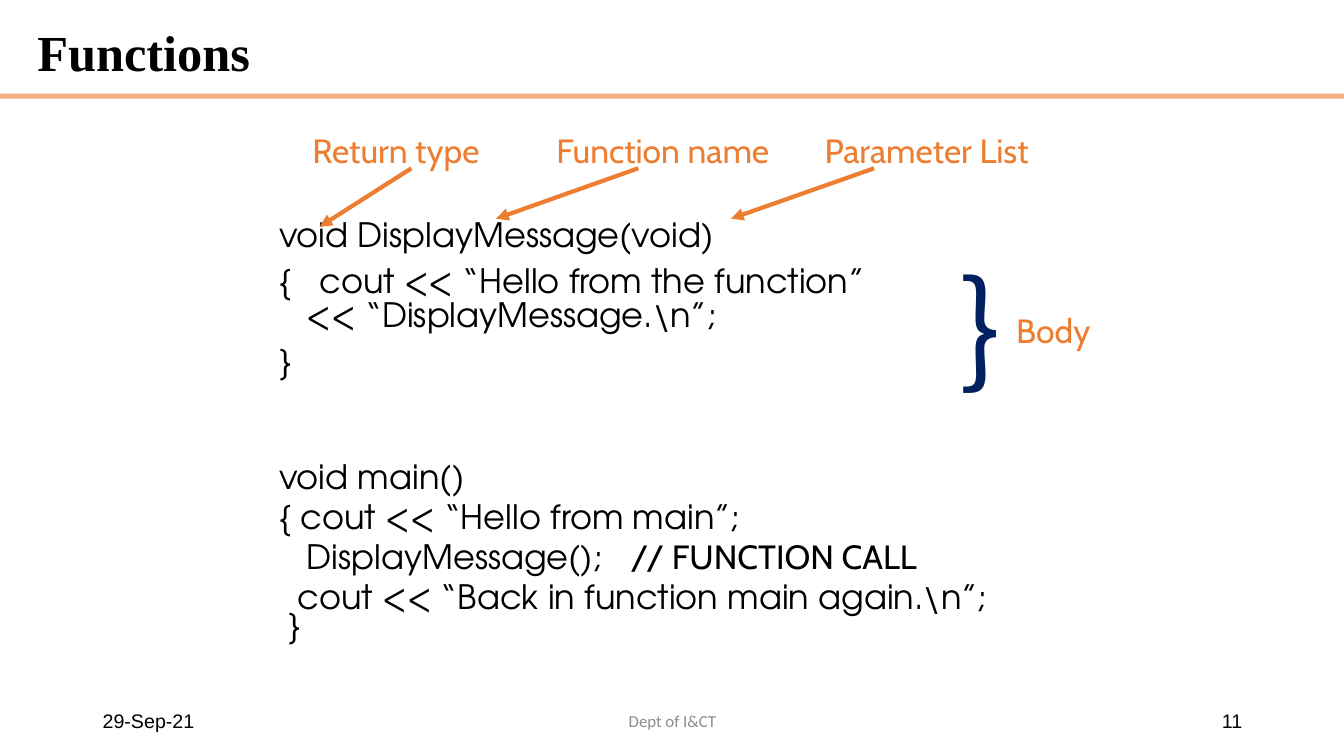
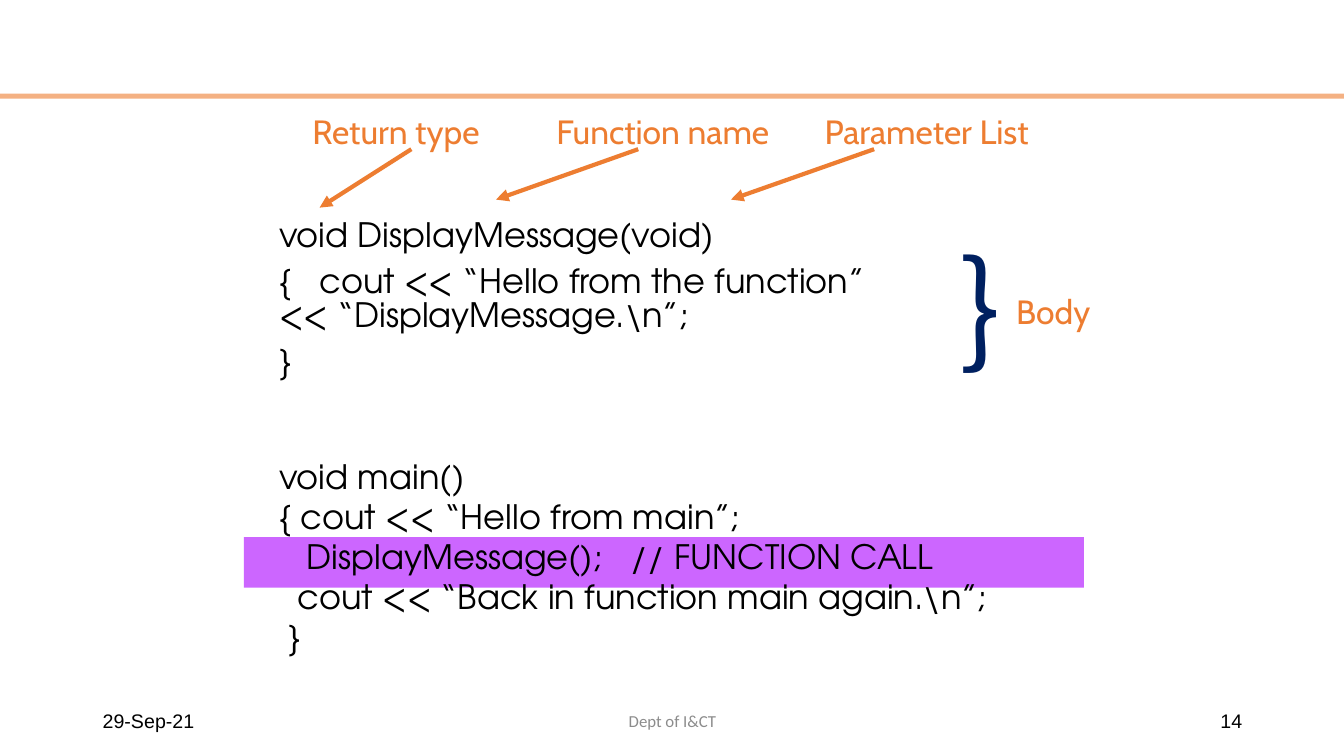
import pptx
import pptx.util
import pptx.dml.color
import pptx.enum.shapes
import pptx.enum.text
import pptx.oxml
import pptx.oxml.ns

Inches = pptx.util.Inches
Anchor = pptx.enum.text.MSO_ANCHOR
Align = pptx.enum.text.PP_ALIGN
Fit = pptx.enum.text.MSO_AUTO_SIZE


def paint(code):
    return pptx.dml.color.RGBColor.from_string(code)


def node(tag, attrs=""):
    space = pptx.oxml.ns.nsdecls("a")
    return pptx.oxml.parse_xml(f"<a:{tag} {space} {attrs}/>")


class Deck:
    ink = "000000"
    accent = "ED7D31"
    band = "F4B183"
    navy = "002060"
    glow = "CC66FF"
    grey = "8C8C8C"
    code_face = "TeX Gyre Adventor"
    note_face = "Cabin"
    title_face = "Times New Roman"

    def __init__(self):
        self.show = pptx.Presentation()
        self.show.slide_width = Inches(13.33)
        self.show.slide_height = Inches(7.5)
        self.slide = None

    def start(self, number, title=None):
        layout = self.show.slide_layouts[5 if title else 6]
        self.slide = self.show.slides.add_slide(layout)
        self.block(0, 0.93, 13.33, 0.05, self.band)
        if title:
            self.title(title)
        self.footer("29-Sep-21", 0.92, 3, Align.LEFT)
        self.footer("Dept of I&CT", 4.42, 4.5, Align.CENTER, "Calibri", 12, self.grey)
        self.footer(str(number), 9.42, 3, Align.RIGHT)

    def style(self, font, face, size, color, bold=False):
        font.name = face
        font.size = pptx.util.Pt(size)
        font.bold = bold
        font.color.rgb = paint(color)

    def block(self, left, top, width, height, color):
        kind = pptx.enum.shapes.MSO_SHAPE.RECTANGLE
        box = self.slide.shapes.add_shape(
            kind, Inches(left), Inches(top), Inches(width), Inches(height))
        box.shadow.inherit = False
        box.fill.solid()
        box.fill.fore_color.rgb = paint(color)
        box.line.fill.background()

    def title(self, words):
        box = self.slide.shapes.title
        box.left, box.top = Inches(0.27), Inches(0.15)
        box.width, box.height = Inches(12.15), Inches(0.79)
        frame = box.text_frame
        frame.text = words
        frame.auto_size = Fit.NONE
        frame.vertical_anchor = Anchor.MIDDLE
        line = frame.paragraphs[0]
        line.alignment = Align.LEFT
        line.line_spacing = 0.9
        self.style(line.runs[0].font, self.title_face, 36, self.ink, True)

    def text(self, words, left, top, width, height, face, size, color):
        box = self.slide.shapes.add_textbox(
            Inches(left), Inches(top), Inches(width), Inches(height))
        frame = box.text_frame
        frame.word_wrap = True
        frame.auto_size = Fit.SHAPE_TO_FIT_TEXT
        frame.text = words
        for line in frame.paragraphs:
            for run in line.runs:
                self.style(run.font, face, size, color)
        return frame

    def footer(self, words, left, width, side, face="Arial", size=14, color=ink):
        frame = self.text(words, left, 6.95, width, 0.4, face, size, color)
        frame.auto_size = Fit.NONE
        frame.vertical_anchor = Anchor.MIDDLE
        frame.paragraphs[0].alignment = side

    def label(self, words, left, top, width):
        self.text(words, left, top, width, 0.51, self.note_face, 24, self.accent)

    def code(self, words, top, height, gaps):
        frame = self.text(words, 2.67, top, 9, height, self.code_face, 24, self.ink)
        for spot, line in enumerate(frame.paragraphs):
            line.line_spacing = gaps[min(spot, len(gaps) - 1)]
            line.space_before = pptx.util.Pt(8.4 if spot else 0)
        return frame

    def arrow(self, start, end):
        kind = pptx.enum.shapes.MSO_CONNECTOR.STRAIGHT
        line = self.slide.shapes.add_connector(
            kind, *(Inches(value) for value in start + end))
        line.line.color.rgb = paint(self.accent)
        line.line.width = pptx.util.Pt(3)
        line.get_or_add_ln().append(node("tailEnd", 'type="triangle"'))
        line.element.spPr.append(node("effectLst"))

    def notes(self, top):
        for words, left, stem, tip, drop in (
            ("Return type", 3, 4.08, 3.17, 0.58),
            ("Function name", 5.42, 6.33, 4.92, 0.5),
            ("Parameter List", 8.08, 8.67, 7.25, 0.5),
        ):
            self.label(words, left, top, 2.75)
            self.arrow((stem, top + 0.43), (tip, top + 0.43 + drop))
        self.text("}", 9.42, top + 1.18, 0.92, 1.58, "Noto Sans CJK JP", 88, self.navy)
        self.label("Body", 9.98, top + 1.79, 1.11)

    def sample(self, indent, call, close):
        self.code(
            "void DisplayMessage(void)\n"
            "{   cout << “Hello from the function”\v"
            f"{indent}<< “DisplayMessage.\\n”;\n"
            "}", 2.17, 1.72, (0.75, 0.85))
        return self.code(
            "void main()\n"
            "{ cout << “Hello from main”;\n"
            f"   DisplayMessage();   {call}\n"
            f"  cout << “Back in function main again.\\n”;{close} }}",
            4.58, 2, (0.7,))


def main():
    deck = Deck()

    deck.start(11, "Functions")
    frame = deck.sample("   ", "", "\v")
    run = frame.paragraphs[2].add_run()
    run.text = "// FUNCTION CALL"
    deck.style(run.font, deck.note_face, 24, deck.ink)
    deck.notes(1.24)

    deck.start(14)
    deck.block(2.42, 5.33, 8.33, 0.5, deck.glow)
    deck.sample("", "// FUNCTION CALL", "\n")
    deck.notes(1.05)

    deck.show.save("out.pptx")


if __name__ == "__main__":
    main()
